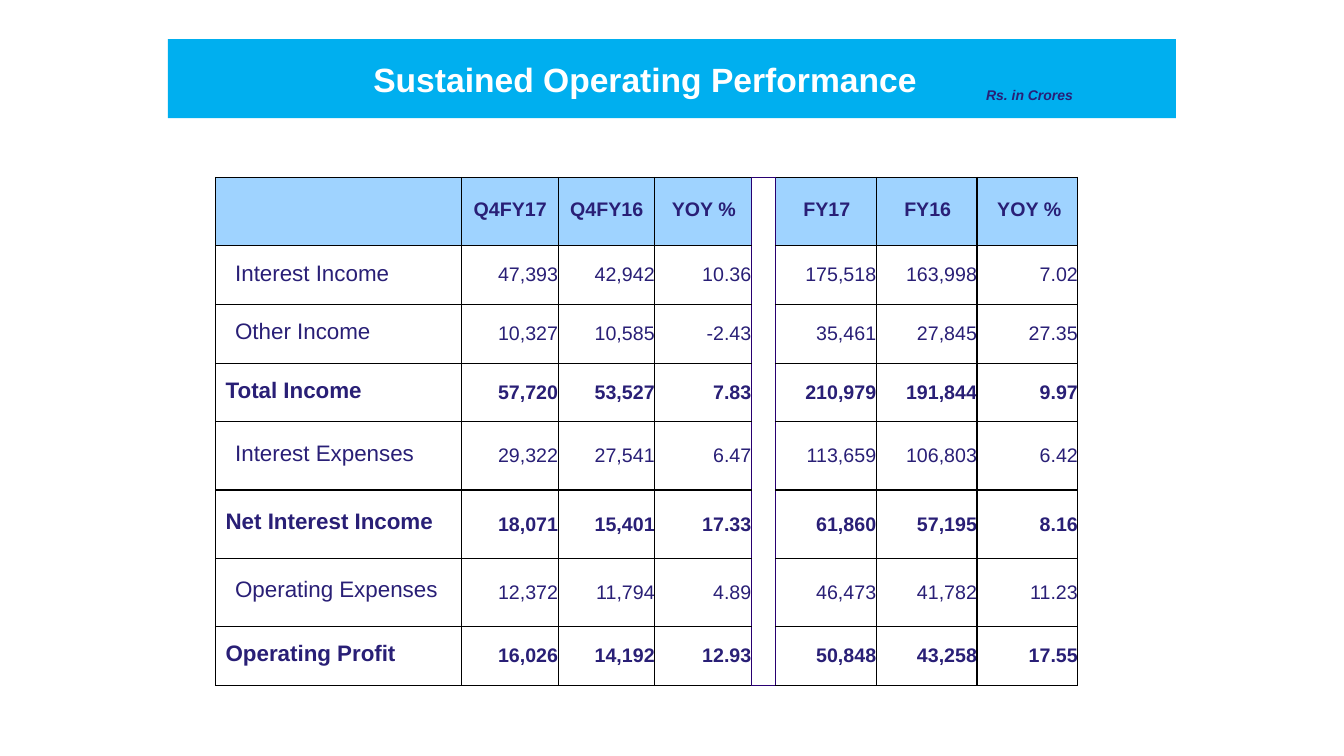
from lxml import etree
from pptx import Presentation
from pptx import util as u
from pptx.dml.color import RGBColor
from pptx.enum import shapes, text
from pptx.oxml import ns

COLORS = {
    "banner": "00AFEF", "header": "9FD3FF", "white": "FFFFFF",
    "ink": "291F76", "grid": "000000", "divider": "280070",
}


def write(frame, content, size=14, color="ink", bold=False, italic=False,
          align=text.PP_ALIGN.LEFT, left=0, top=0):
    """Put one formatted line into a text frame or a table cell."""
    frame.margin_left, frame.margin_top = u.Pt(left), u.Pt(top)
    frame.margin_right = frame.margin_bottom = 0
    para = getattr(frame, "text_frame", frame).paragraphs[0]
    para.alignment = align
    span = para.add_run()
    span.text = content
    span.font.name, span.font.size = "Arial", u.Pt(size)
    span.font.bold, span.font.italic = bold, italic
    span.font.color.rgb = RGBColor.from_string(COLORS[color])


def paint(cell, fill, left="grid", right="grid", top="grid", bottom="grid"):
    """Fill a cell and draw its four borders, one point wide."""
    properties = cell._tc.get_or_add_tcPr()
    for tag, color in (("a:lnL", left), ("a:lnR", right),
                       ("a:lnT", top), ("a:lnB", bottom)):
        line = etree.SubElement(properties, ns.qn(tag), w=str(u.Pt(1)))
        solid = etree.SubElement(line, ns.qn("a:solidFill"))
        etree.SubElement(solid, ns.qn("a:srgbClr"), val=COLORS[color])
    cell.fill.solid()
    cell.fill.fore_color.rgb = RGBColor.from_string(COLORS[fill])


deck = Presentation()
deck.slide_width, deck.slide_height = u.Pt(960), u.Pt(540)
page = deck.slides.add_slide(deck.slide_layouts[6])

# Banner with title and unit
banner = page.shapes.add_shape(shapes.MSO_SHAPE.RECTANGLE,
                               u.Pt(120), u.Pt(28), u.Pt(720), u.Pt(56.4))
banner.shadow.inherit = False
banner.fill.solid()
banner.fill.fore_color.rgb = RGBColor.from_string(COLORS["banner"])
banner.line.fill.background()

title = page.shapes.add_textbox(u.Pt(265.7), u.Pt(41), u.Pt(389.5), u.Pt(31))
write(title.text_frame, "Sustained Operating Performance",
      size=24, color="white", bold=True, left=1, top=1)
unit = page.shapes.add_textbox(u.Pt(703.4), u.Pt(60.5), u.Pt(64), u.Pt(13))
write(unit.text_frame, "Rs. in Crores",
      size=10, bold=True, italic=True, left=1, top=1)

# Results table: a quarter block and a year block, parted by a narrow gap
GAP = 4
SHORT, TALL = 41.9, 48.8
widths = [175.5, 69, 69, 69, 14.8, 72, 72, 72]
headings = ["", "Q4FY17", "Q4FY16", "YOY %", "", "FY17", "FY16", "YOY %"]
heading_indents = [0, 8.6, 8.6, 12.2, 0, 20, 20, 14.4]
results = [
    ("Interest Income", SHORT, False,
     "47,393 42,942 10.36 175,518 163,998 7.02"),
    ("Other Income", SHORT, False,
     "10,327 10,585 -2.43 35,461 27,845 27.35"),
    ("Total Income", SHORT, True,
     "57,720 53,527 7.83 210,979 191,844 9.97"),
    ("Interest Expenses", TALL, False,
     "29,322 27,541 6.47 113,659 106,803 6.42"),
    ("Net Interest Income", TALL, True,
     "18,071 15,401 17.33 61,860 57,195 8.16"),
    ("Operating Expenses", TALL, False,
     "12,372 11,794 4.89 46,473 41,782 11.23"),
    ("Operating Profit", SHORT, True,
     "16,026 14,192 12.93 50,848 43,258 17.55"),
]
heights = [TALL] + [height for _, height, _, _ in results]

table = page.shapes.add_table(
    len(heights), len(widths), u.Pt(154.2), u.Pt(126.8),
    u.Pt(sum(widths)), u.Pt(sum(heights))).table
table.first_row = table.horz_banding = False
for column, width in zip(table.columns, widths):
    column.width = u.Pt(width)
for row, height in zip(table.rows, heights):
    row.height = u.Pt(height)

for index, row in enumerate(table.rows):
    for position, cell in enumerate(row.cells):
        if position == GAP:
            paint(cell, "white", *["divider"] * 4)
        else:
            paint(cell, "white" if index else "header",
                  left="divider" if position == GAP + 1 else "grid",
                  right="divider" if position == GAP - 1 else "grid")
table.cell(0, GAP).merge(table.cell(len(heights) - 1, GAP))

for position, heading in enumerate(headings):
    if heading:
        write(table.cell(0, position), heading, bold=True,
              left=heading_indents[position], top=15)

value_columns = [1, 2, 3, 5, 6, 7]
for index, (label, height, is_total, values) in enumerate(results, start=1):
    write(table.cell(index, 0), label, size=16, bold=is_total,
          left=7 if is_total else 13.8, top=13.7 if height == TALL else 10.8)
    for position, value in zip(value_columns, values.split()):
        write(table.cell(index, position), value, bold=is_total,
              align=text.PP_ALIGN.RIGHT, top=16.7 if height == TALL else 13)

deck.save("out.pptx")
